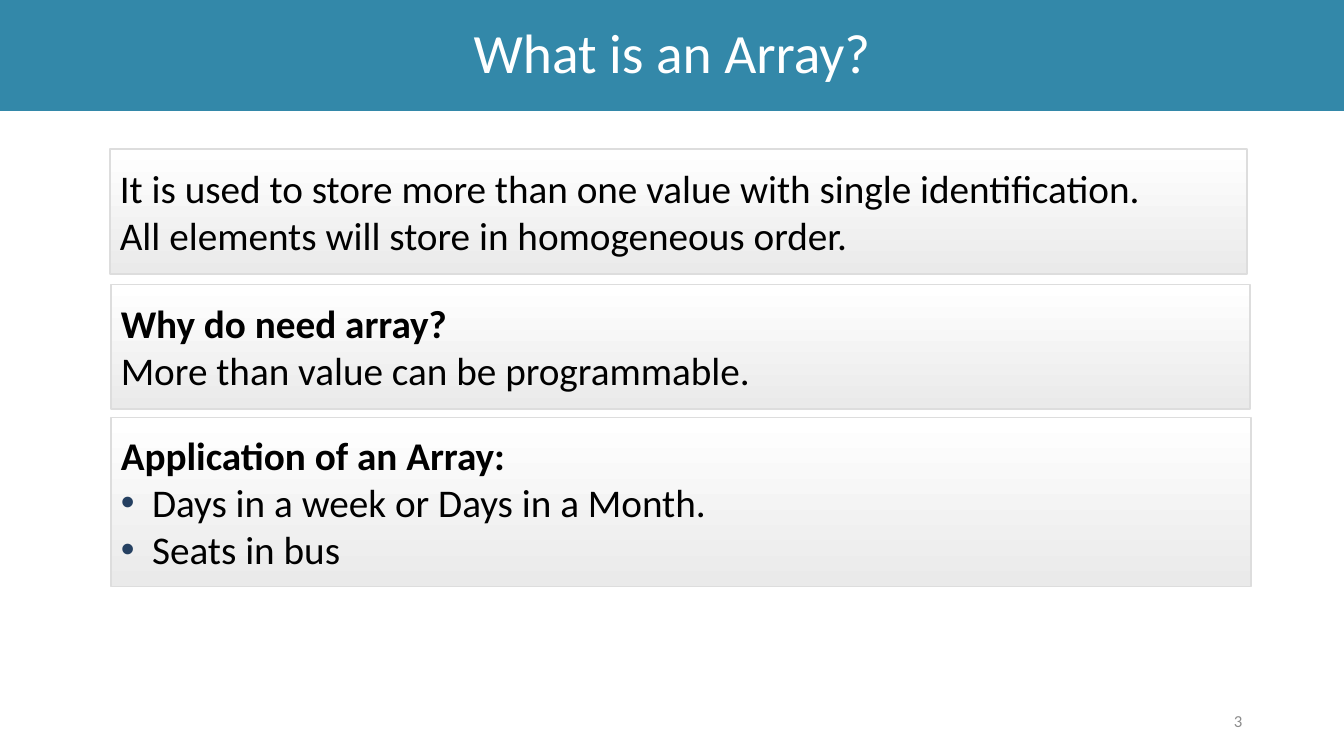
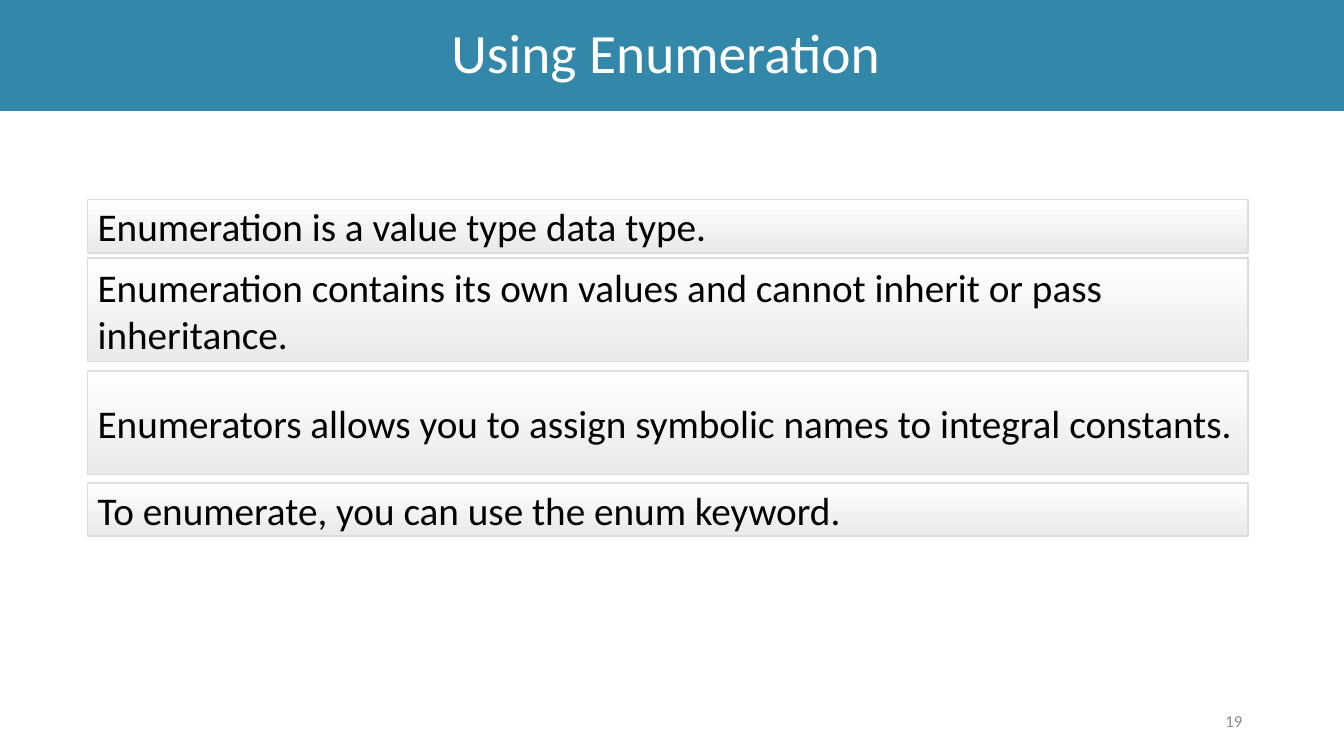
from dataclasses import dataclass

import pptx
import pptx.dml.color
import pptx.enum.shapes
import pptx.enum.text
import pptx.oxml
import pptx.oxml.ns
import pptx.util
from pptx.util import Inches


@dataclass(frozen=True)
class Theme:
    """Colours, font and type sizes shared by all slides."""
    font: str = "Calibri"
    band: str = "3388A9"
    title: str = "FFFFFF"
    body: str = "000000"
    number: str = "8C8C8C"
    panel_top: str = "FFFFFF"
    panel_bottom: str = "EAEAEA"
    panel_line: str = "DDDDDD"
    bullet: str = "254061"
    title_size: float = 39.6
    body_size: float = 28
    number_size: float = 12


theme = Theme()
color = pptx.dml.color.RGBColor.from_string
align = pptx.enum.text.PP_ALIGN
middle = pptx.enum.text.MSO_ANCHOR.MIDDLE


def write(frame, lines, size, ink, alignment):
    """Fill a text frame: '# ' starts a bold line, '* ' a bulleted one."""
    frame.word_wrap = True
    frame.auto_size = pptx.enum.text.MSO_AUTO_SIZE.NONE
    frame.vertical_anchor = middle
    for index, line in enumerate(lines):
        para = frame.paragraphs[0] if index == 0 else frame.add_paragraph()
        para.text = line.removeprefix("# ").removeprefix("* ")
        para.alignment = alignment
        for span in para.runs:
            span.font.name = theme.font
            span.font.size = pptx.util.Pt(size)
            span.font.bold = line.startswith("# ")
            span.font.color.rgb = color(ink)
        if line.startswith("* "):
            properties = para._p.get_or_add_pPr()
            properties.set("marL", str(Inches(0.31)))
            properties.set("indent", str(Inches(-0.31)))
            namespace = pptx.oxml.ns.nsdecls("a")
            for markup in (
                f'<a:buClr {namespace}><a:srgbClr val="{theme.bullet}"/></a:buClr>',
                f'<a:buFont {namespace} typeface="Arial"/>',
                f'<a:buChar {namespace} char="•"/>',
            ):
                properties.append(pptx.oxml.parse_xml(markup))


def add_panel(page, left, top, width, height, lines):
    """Draw a grey gradient panel holding left-aligned text."""
    panel = page.shapes.add_shape(
        pptx.enum.shapes.MSO_SHAPE.RECTANGLE,
        Inches(left), Inches(top), Inches(width), Inches(height))
    panel.shadow.inherit = False
    panel.fill.gradient()
    panel.fill.gradient_angle = 270
    stops = panel.fill.gradient_stops
    for stop, position, tint in zip(
            stops, (0, 1), (theme.panel_top, theme.panel_bottom)):
        stop.position = position
        stop.color.rgb = color(tint)
    panel.line.color.rgb = color(theme.panel_line)
    panel.line.width = pptx.util.Pt(1)
    write(panel.text_frame, lines, theme.body_size, theme.body, align.LEFT)


# Each slide: title, slide number, panels (left, top, width, height, lines)
slides = [
    ("What is an Array?", "3", [
        (1.09, 1.48, 11.28, 1.24, [
            "It is used to store more than one value with single identification.",
            "All elements will store in homogeneous order."]),
        (1.1, 2.82, 11.3, 1.24, [
            "# Why do need array?",
            "More than value can be programmable."]),
        (1.1, 4.14, 11.31, 1.68, [
            "# Application of an Array:",
            "* Days in a week or Days in a Month.",
            "* Seats in bus"]),
    ]),
    ("Using Enumeration ", "19", [
        (0.87, top, 11.51, height, [line]) for top, height, line in [
            (1.98, 0.53, "Enumeration is a value type data type."),
            (2.56, 1.03, "Enumeration contains its own values and cannot "
                         "inherit or pass inheritance."),
            (3.68, 1.03, "Enumerators allows you to assign symbolic names "
                         "to integral constants."),
            (4.79, 0.53, "To enumerate, you can use the enum keyword. "),
        ]
    ]),
]

deck = pptx.Presentation()
deck.slide_width = Inches(13.33)
deck.slide_height = Inches(7.5)
title_only = deck.slide_layouts.get_by_name("Title Only")

for heading, number, panels in slides:
    page = deck.slides.add_slide(title_only)

    title = page.shapes.title
    title.left, title.top = Inches(0), Inches(0)
    title.width, title.height = deck.slide_width, Inches(1.1)
    title.fill.solid()
    title.fill.fore_color.rgb = color(theme.band)
    write(title.text_frame, [heading], theme.title_size, theme.title, align.CENTER)
    title.text_frame.paragraphs[0].line_spacing = 0.9

    number_box = page.shapes.add_textbox(
        Inches(9.42), Inches(6.95), Inches(3), Inches(0.4))
    write(number_box.text_frame, [number],
          theme.number_size, theme.number, align.RIGHT)

    for panel in panels:
        add_panel(page, *panel)

deck.save("out.pptx")
